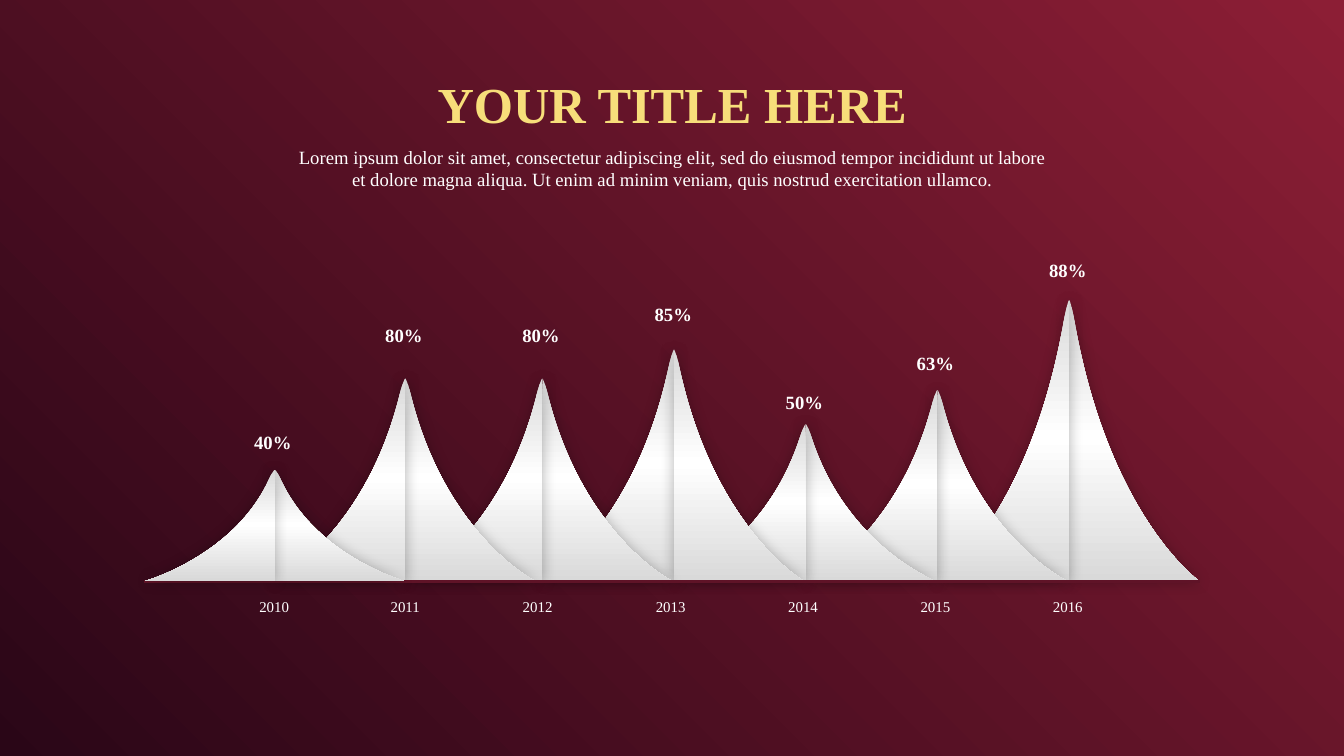
from dataclasses import dataclass

from lxml.etree import SubElement
from pptx import Presentation
from pptx.dml.color import RGBColor
from pptx.enum.shapes import MSO_CONNECTOR
from pptx.enum.text import MSO_AUTO_SIZE, PP_ALIGN
from pptx.oxml.ns import qn
from pptx.shapes.group import GroupShape
from pptx.util import Inches, Pt

WHITE = RGBColor(0xFF, 0xFF, 0xFF)
SILVER = RGBColor(0xD9, 0xD9, 0xD9)
BLACK = RGBColor(0, 0, 0)
WINE = RGBColor(0x5F, 0x13, 0x27)
RED = RGBColor(0x8C, 0x1E, 0x35)
PLUM = RGBColor(0x2A, 0x06, 0x17)
BRONZE = RGBColor(0xB3, 0x7E, 0x2A)
GOLD = RGBColor(0xF7, 0xDE, 0x7A)
CREAM = RGBColor(0xFC, 0xF2, 0xA5)

FONT = "Times New Roman"
BASE = 8.65
HALF = 1.94
SHEEN = [(0, SILVER), (49, WHITE), (100, SILVER)]
GILT = [(0, BRONZE), (24, GOLD), (53, CREAM), (77, GOLD), (100, BRONZE)]

# Knots of four cubic curves: x in inches from the middle, y as a part of the height
TIP, NECK, FOOT, HEEL = (0, 0), (0.08, 0.077), (HALF, 1), (0, 1)
KNOTS = [NECK,
         (0.59, 0.773), FOOT, FOOT,
         HEEL, HEEL, HEEL,
         TIP, TIP, TIP,
         (0.01, 0), (0.05, 0.036), NECK]


@dataclass
class Peak:
    year: str
    share: str
    mid: float
    top: float
    share_x: float
    share_y: float
    year_x: float
    sides: tuple = (1, -1)


PEAKS = [
    Peak("2010", "40%", 4.09, 6.99, 3.15, 6.36, 3.17),
    Peak("2011", "80%", 6.03, 5.63, 5.10, 4.77, 5.12),
    Peak("2012", "80%", 8.07, 5.63, 7.14, 4.77, 7.09),
    Peak("2013", "85%", 10.03, 5.20, 9.11, 4.46, 9.07, (-1, 1)),
    Peak("2014", "50%", 11.99, 6.31, 11.06, 5.77, 11.04),
    Peak("2015", "63%", 13.95, 5.80, 13.01, 5.19, 13.01),
    Peak("2016", "88%", 15.91, 4.46, 14.98, 3.80, 14.98),
]


def add(node, tag: str, **attrs):
    return SubElement(node, qn(tag), {k: str(v) for k, v in attrs.items()})


def blend(fill, root, stops: list, angle: int | None = None) -> None:
    """Gradient at an angle, or from the top right corner when there is none."""
    fill.gradient()
    grad = root.xpath(".//a:gradFill")[0]
    for child in list(grad):
        grad.remove(child)
    row = add(grad, "a:gsLst")
    for spot, color in stops:
        add(add(row, "a:gs", pos=spot * 1000), "a:srgbClr", val=color)
    if angle is not None:
        add(grad, "a:lin", ang=angle * 60000, scaled=0)
        return
    add(add(grad, "a:path", path="circle"), "a:fillToRect", l=100000, b=100000)
    add(grad, "a:tileRect", t=-100000, r=-100000)


def write(text: str, x: float, y: float, w: float, h: float, *, size: int,
          bold: bool = False, inset: float = 0.1, stops: list | None = None) -> None:
    box = slide.shapes.add_textbox(Inches(x), Inches(y), Inches(w), Inches(h))
    frame = box.text_frame
    frame.word_wrap = True
    frame.auto_size = MSO_AUTO_SIZE.SHAPE_TO_FIT_TEXT
    frame.margin_left = frame.margin_right = Inches(inset)
    frame.margin_top = frame.margin_bottom = Inches(inset / 2)
    line = frame.paragraphs[0]
    line.alignment = PP_ALIGN.CENTER
    run = line.add_run()
    run.text = text
    font = run.font
    font.name, font.size, font.bold = FONT, Pt(size), bold
    if stops:
        blend(font.fill, box.element, stops, 180)
    else:
        font.color.rgb = WHITE


def bend(shape) -> None:
    """Turn each three line segments into one cubic curve."""
    lines = shape.element.xpath(".//a:lnTo")
    for i in range(0, len(lines), 3):
        cubic = lines[i].makeelement(qn("a:cubicBezTo"))
        lines[i].addprevious(cubic)
        for line in lines[i:i + 3]:
            cubic.append(line[0])
            line.getparent().remove(line)


def draw_half(group: GroupShape, peak: Peak, side: int) -> None:
    points = [(Inches(peak.mid + side * x), Inches(peak.top + y * (BASE - peak.top)))
              for x, y in KNOTS]
    pen = group.shapes.build_freeform(*points[0], scale=1.0)
    pen.add_line_segments(points[1:], close=True)
    shape = pen.convert_to_shape()
    bend(shape)
    blend(shape.fill, shape.element, SHEEN, 90)
    shape.line.fill.background()
    shape.shadow.inherit = False
    effects = shape.element.spPr.find(qn("a:effectLst"))
    glow = add(effects, "a:outerShdw", blurRad=Pt(15), dist=0, dir=0, algn="ctr", rotWithShape=0)
    add(add(glow, "a:srgbClr", val=BLACK), "a:alpha", val=28000)


def draw_base() -> None:
    line = slide.shapes.add_connector(MSO_CONNECTOR.STRAIGHT, Inches(2.15), Inches(BASE),
                                      Inches(17.85), Inches(BASE))
    line.line.color.rgb = WINE
    line.line.width = Pt(3)
    add(line.element.spPr, "a:effectLst")


deck = Presentation()
deck.slide_width, deck.slide_height = Inches(20), Inches(11.25)
slide = deck.slides.add_slide(deck.slide_layouts[6])
blend(slide.background.fill, slide.element, [(0, RED), (100, PLUM)])

# Peaks from back to front, with the base line behind the first one
for peak in reversed(PEAKS):
    if peak is PEAKS[0]:
        draw_base()
    group = slide.shapes.add_group_shape()
    for side in peak.sides:
        draw_half(group, peak, side)

# Labels
for peak in PEAKS:
    write(peak.share, peak.share_x, peak.share_y, 1.82, 0.44, size=20, bold=True)
    write(peak.year, peak.year_x, 8.84, 1.82, 0.37, size=16)

# Heading
write("Lorem ipsum dolor sit amet, consectetur adipiscing elit, sed do eiusmod tempor "
      "incididunt ut labore et dolore magna aliqua. Ut enim ad minim veniam, quis "
      "nostrud exercitation ullamco.", 4.3, 2.12, 11.41, 0.77, size=20)
write("YOUR TITLE HERE", 6.05, 1.09, 7.91, 0.91, size=54, bold=True, inset=0, stops=GILT)

deck.save("out.pptx")
